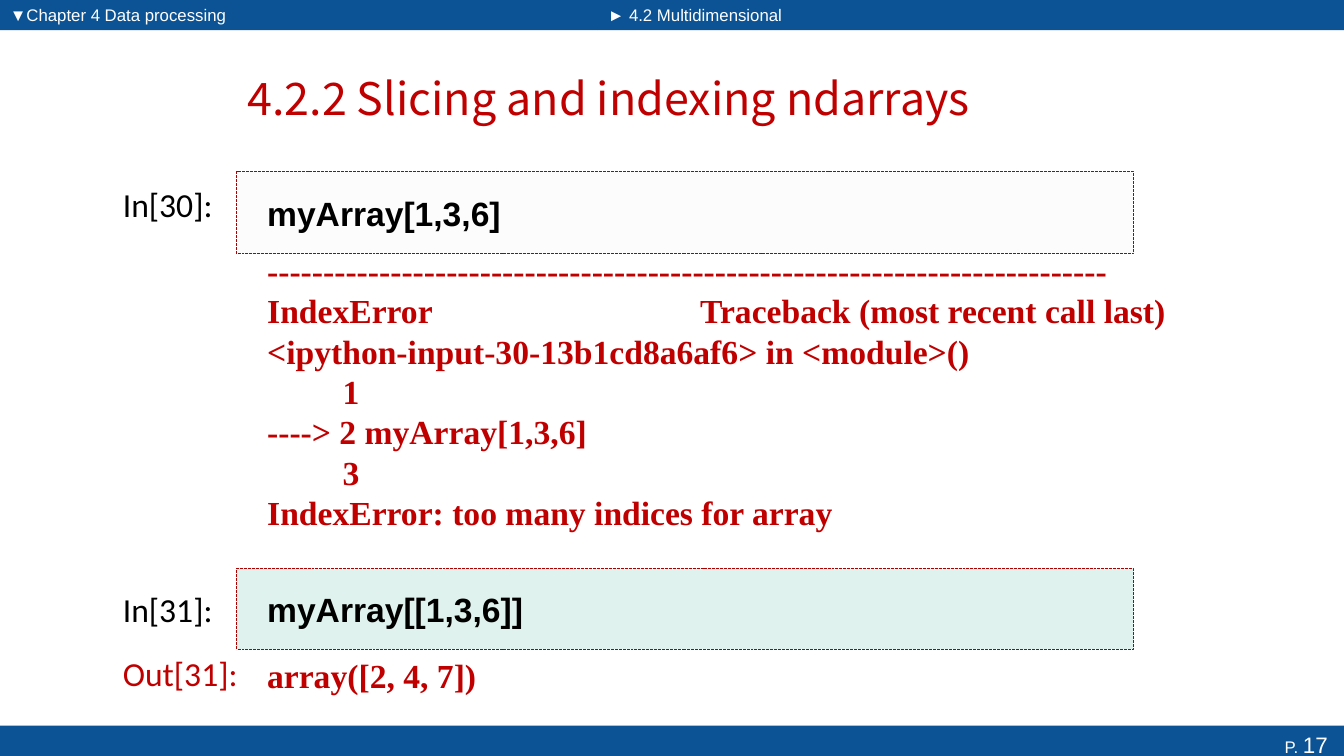
import pptx
import pptx.util
import pptx.dml.color
import pptx.enum.dml
import pptx.enum.shapes
import pptx.enum.text
import pptx.oxml
import lxml.etree

Inches = pptx.util.Inches
Align = pptx.enum.text.PP_ALIGN
Anchor = pptx.enum.text.MSO_ANCHOR
COLORS = {"bar": "0B5394", "white": "FFFFFF", "black": "000000", "red": "C00000",
          "border": "AB0000", "lilac": "F1EEF4", "green": "0C9B74"}


def write(shape, lines, font, size, color, bold=False, align=Align.LEFT,
          anchor=Anchor.TOP, left_inset=0.1, wrap=True):
    frame = shape.text_frame
    frame.text = "\n".join(lines)
    frame.word_wrap = wrap
    frame.vertical_anchor = anchor
    frame.margin_left = Inches(left_inset)
    for paragraph in frame.paragraphs:
        paragraph.alignment = align
        for run in paragraph.runs:
            run.font.name = font
            run.font.size = pptx.util.Pt(size)
            run.font.bold = bold
            run.font.color.rgb = pptx.dml.color.RGBColor.from_string(COLORS[color])


def add_rectangle(left, top, width, height, color):
    shape = slide.shapes.add_shape(pptx.enum.shapes.MSO_SHAPE.RECTANGLE, Inches(left),
                                   Inches(top), Inches(width), Inches(height))
    shape.shadow.inherit = False
    shape.fill.solid()
    shape.fill.fore_color.rgb = pptx.dml.color.RGBColor.from_string(COLORS[color])
    shape.line.fill.background()
    return shape


presentation = pptx.Presentation()
presentation.slide_width = Inches(13.33)
presentation.slide_height = Inches(7.5)
slide = presentation.slides.add_slide(presentation.slide_layouts[5])

# Title
title = slide.shapes.title
title.left, title.top = Inches(0.68), Inches(0.52)
title.width, title.height = Inches(10.72), Inches(0.9)
write(title, ["4.2.2 Slicing and indexing ndarrays"], "Noto Sans CJK SC", 32, "red",
      align=Align.CENTER, anchor=Anchor.MIDDLE)

# Header bars with chapter and section
for left, width, heading in [(0, 5.93, "▼Chapter 4 Data processing"),
                             (5.93, 7.4, "► 4.2 Multidimensional")]:
    header = add_rectangle(left, 0, width, 0.3, "bar")
    write(header, [heading], "Arial", 12, "white")

# Footer bar with page number
footer = add_rectangle(0, 7.2, 13.33, 0.37, "bar")
write(footer, ["P. "], "Arial", 12, "white", align=Align.RIGHT)
page_number = footer.text_frame.paragraphs[0].add_run()
page_number.text = "17 "
page_number.font.name = "Arial"
page_number.font.size = pptx.util.Pt(16)
page_number.font.color.rgb = pptx.dml.color.RGBColor.from_string(COLORS["white"])

# Code cells
for top, height, color, code in [(1.7, 0.82, "lilac", "myArray[1,3,6]"),
                                 (5.64, 0.8, "green", "myArray[[1,3,6]]")]:
    cell = add_rectangle(2.35, top, 8.89, height, color)
    fill_color = cell.fill._xPr.find(".//" + pptx.oxml.ns.qn("a:srgbClr"))
    lxml.etree.SubElement(fill_color, pptx.oxml.ns.qn("a:alpha"), val="13000")
    cell.line.color.rgb = pptx.dml.color.RGBColor.from_string(COLORS["border"])
    cell.line.width = pptx.util.Pt(0.7)
    cell.line.dash_style = pptx.enum.dml.MSO_LINE.SQUARE_DOT
    # SQUARE_DOT is sysDot; the border uses the longer system dash
    cell.line._ln.find(pptx.oxml.ns.qn("a:prstDash")).set("val", "sysDash")
    write(cell, [code], "Arial", 24, "black", bold=True, anchor=Anchor.MIDDLE, left_inset=0.3)

# Cell labels
for top, width, label, color in [(1.78, 1.25, "In[30]:", "black"),
                                 (5.79, 1.13, "In[31]:", "black"),
                                 (6.43, 1.35, "Out[31]:", "red")]:
    box = slide.shapes.add_textbox(Inches(1.12), Inches(top), Inches(width), Inches(0.5))
    write(box, [label], "Calibri", 24, color, wrap=False)

# Cell outputs
traceback = [
    "-" * 75,
    "IndexError                                Traceback (most recent call last)",
    "<ipython-input-30-13b1cd8a6af6> in <module>()",
    "         1",
    "----> 2 myArray[1,3,6]",
    "         3",
    "IndexError: too many indices for array",
]
for top, width, height, lines in [(2.36, 9.52, 3.04, traceback),
                                  (6.27, 8.74, 0.85, ["array([2, 4, 7])"])]:
    box = slide.shapes.add_textbox(Inches(2.35), Inches(top), Inches(width), Inches(height))
    write(box, lines, "Times New Roman", 24, "red", bold=True, anchor=Anchor.MIDDLE,
          left_inset=0.3)

presentation.save("out.pptx")
